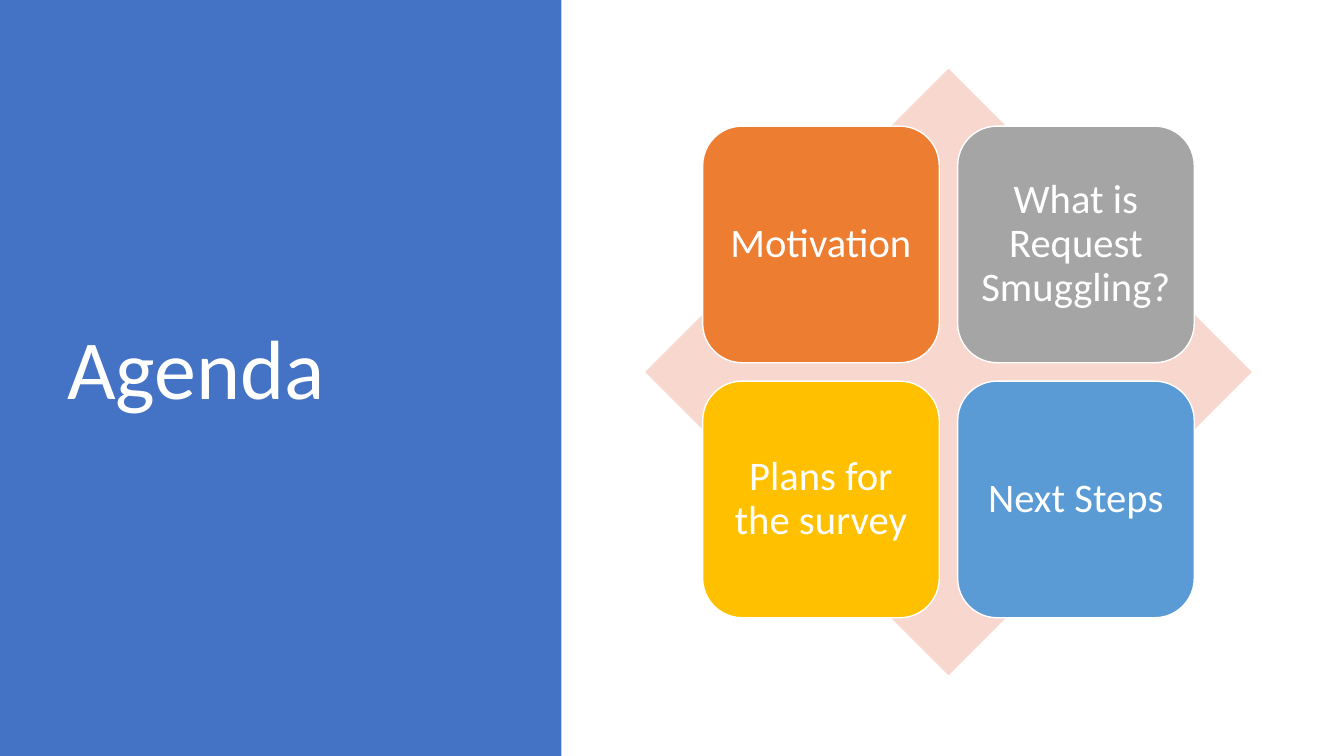
import pptx
import pptx.util
import pptx.dml.color
import pptx.enum.shapes
import pptx.enum.text

Pt = pptx.util.Pt
RGBColor = pptx.dml.color.RGBColor
MSO_SHAPE = pptx.enum.shapes.MSO_SHAPE
PP_ALIGN = pptx.enum.text.PP_ALIGN

WHITE = RGBColor(0xFF, 0xFF, 0xFF)
BLUE = RGBColor(0x44, 0x72, 0xC4)
PALE_ORANGE = RGBColor(0xF8, 0xD7, 0xCE)
ORANGE = RGBColor(0xED, 0x7D, 0x31)
GREY = RGBColor(0xA5, 0xA5, 0xA5)
GOLD = RGBColor(0xFF, 0xC0, 0x00)
LIGHT_BLUE = RGBColor(0x5B, 0x9B, 0xD5)

HEADING = "Agenda"
TOPICS = [
    ("Motivation", ORANGE),
    ("What is Request Smuggling?", GREY),
    ("Plans for the survey", GOLD),
    ("Next Steps", LIGHT_BLUE),
]

PANEL_WIDTH, SLIDE_HEIGHT = 401, 540
CONTENT_TOP, CONTENT_HEIGHT = 49, 433.4
HEADING_LEFT, HEADING_WIDTH = 41, 299.5
DIAMOND_LEFT = 460.8
TILE, GAP, TILE_INSET = 169, 13.15, 8.6
COLUMNS = 2


def add_block(slide, kind, left, top, width, height, color):
    block = slide.shapes.add_shape(kind, Pt(left), Pt(top), Pt(width), Pt(height))
    block.shadow.inherit = False
    block.fill.solid()
    block.fill.fore_color.rgb = color
    block.line.fill.background()
    return block


def write(shape, text, size, align):
    frame = shape.text_frame
    frame.word_wrap = True
    frame.vertical_anchor = pptx.enum.text.MSO_ANCHOR.MIDDLE
    paragraph = frame.paragraphs[0]
    paragraph.text = text
    paragraph.alignment = align
    paragraph.line_spacing = 0.9
    paragraph.font.name = "Calibri"
    paragraph.font.size = Pt(size)
    paragraph.font.color.rgb = WHITE
    return frame


def main():
    deck = pptx.Presentation()
    deck.slide_width, deck.slide_height = Pt(960), Pt(SLIDE_HEIGHT)
    slide = deck.slides.add_slide(deck.slide_layouts[6])

    add_block(slide, MSO_SHAPE.RECTANGLE, 0, 0, PANEL_WIDTH, SLIDE_HEIGHT, BLUE)
    heading = slide.shapes.add_textbox(
        Pt(HEADING_LEFT), Pt(CONTENT_TOP), Pt(HEADING_WIDTH), Pt(CONTENT_HEIGHT))
    write(heading, HEADING, 60, PP_ALIGN.LEFT)

    add_block(slide, MSO_SHAPE.DIAMOND, DIAMOND_LEFT, CONTENT_TOP,
              CONTENT_HEIGHT, CONTENT_HEIGHT, PALE_ORANGE)
    margin = (CONTENT_HEIGHT - COLUMNS * TILE - GAP) / 2
    for index, (topic, color) in enumerate(TOPICS):
        row, column = divmod(index, COLUMNS)
        tile = add_block(slide, MSO_SHAPE.ROUNDED_RECTANGLE,
                         DIAMOND_LEFT + margin + column * (TILE + GAP),
                         CONTENT_TOP + margin + row * (TILE + GAP),
                         TILE, TILE, color)
        tile.line.color.rgb = WHITE
        tile.line.width = Pt(1)
        frame = write(tile, topic, 29, PP_ALIGN.CENTER)
        frame.margin_left = frame.margin_right = Pt(TILE_INSET)
        frame.margin_top = frame.margin_bottom = Pt(TILE_INSET)

    deck.save("out.pptx")


if __name__ == "__main__":
    main()
